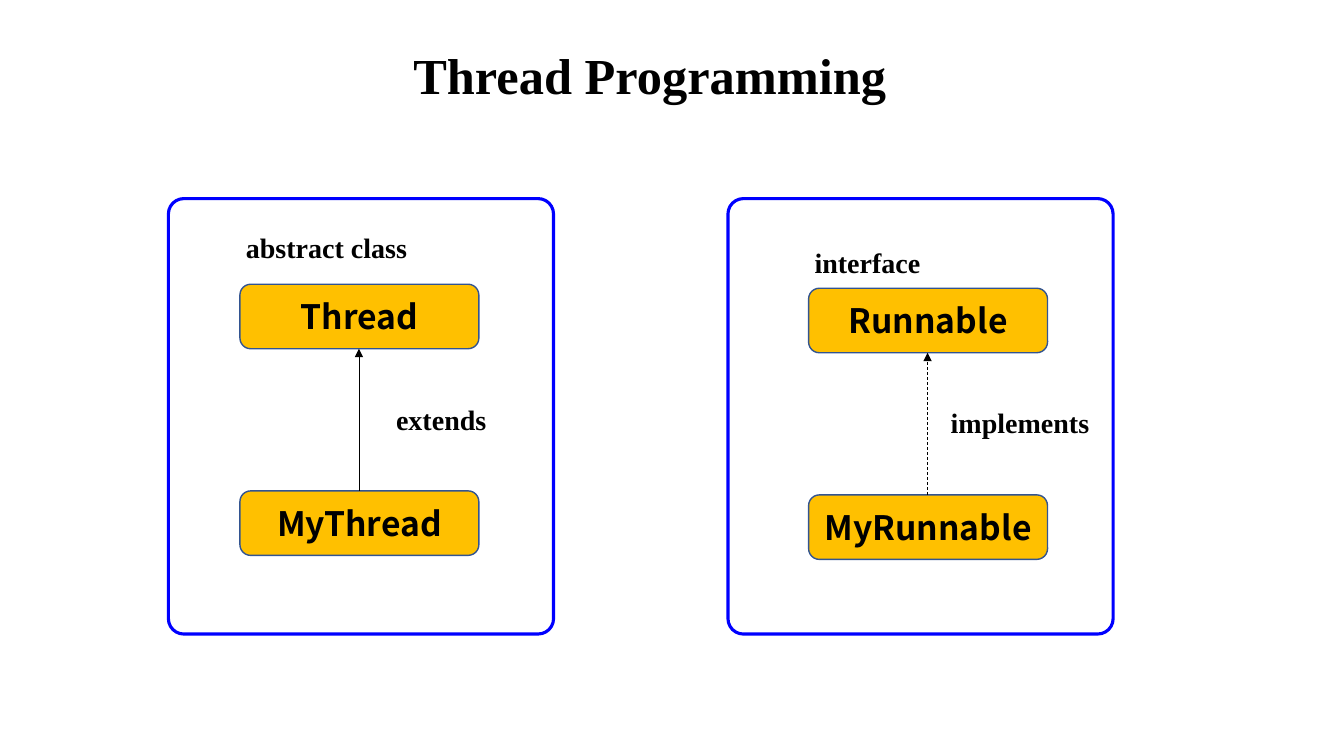
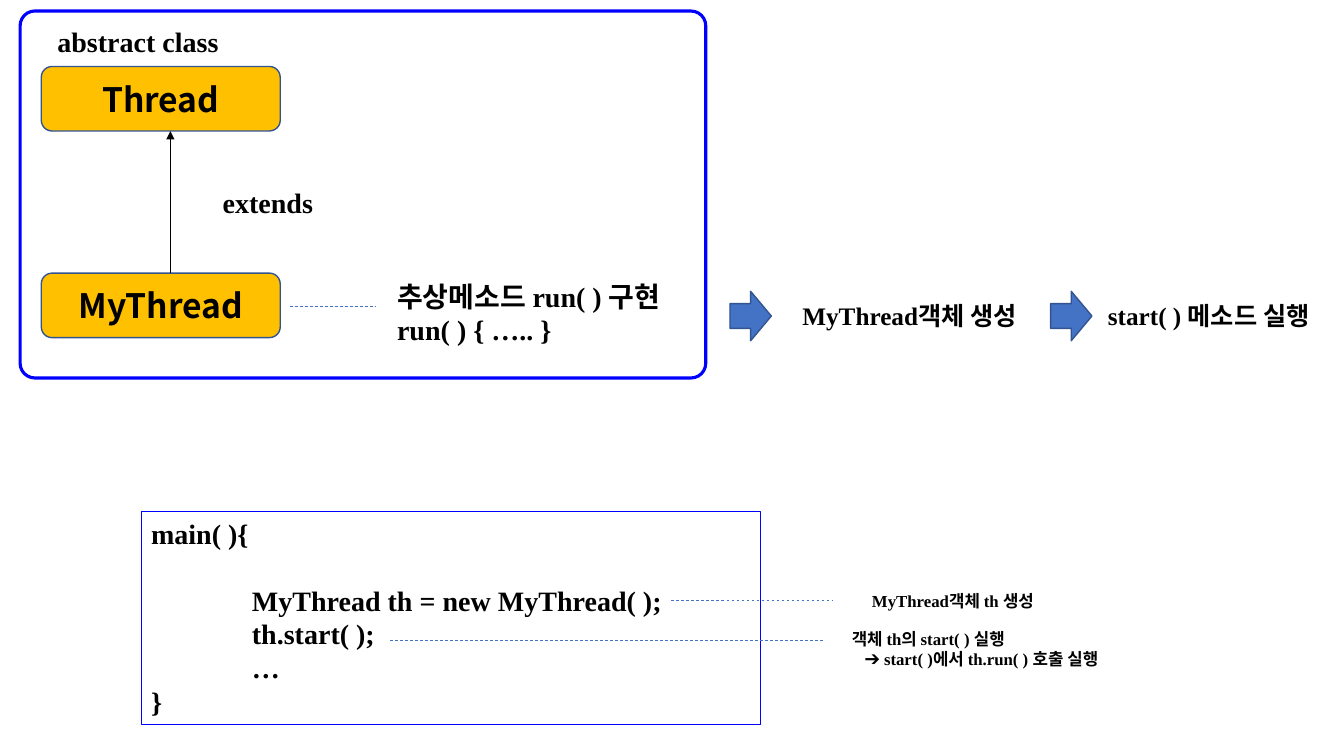
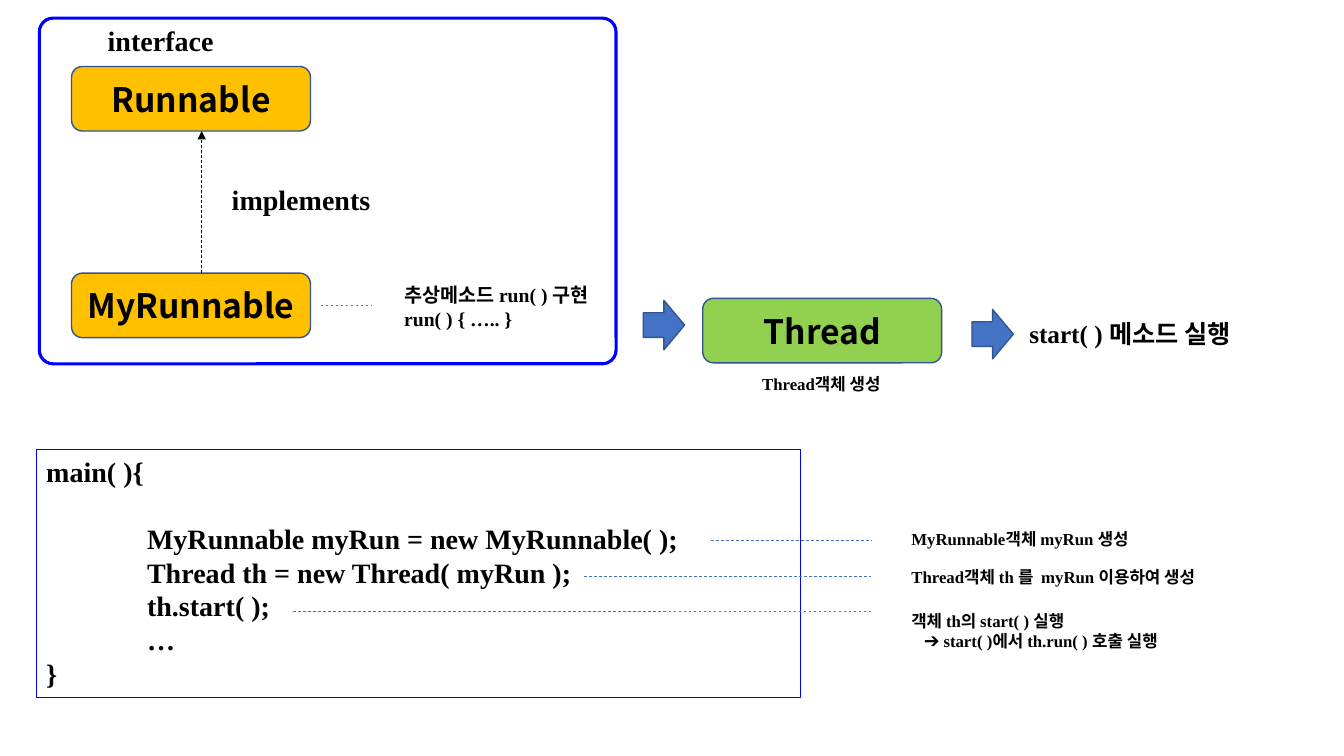
from lxml.etree import SubElement
from pptx import Presentation
from pptx.dml.color import RGBColor
from pptx.enum.dml import MSO_LINE
from pptx.enum.shapes import MSO_CONNECTOR, MSO_SHAPE
from pptx.enum.text import MSO_ANCHOR as Anchor, MSO_AUTO_SIZE as AutoSize, PP_ALIGN as Align
from pptx.oxml.ns import qn
from pptx.util import Inches, Pt

BLACK, BLUE, ACCENT, EDGE = "000000", "0000FF", "4472C4", "325491"
AMBER, GREEN = "FFC000", "92D050"
SERIF, SANS = "Times New Roman", "Noto Sans CJK KR"
TITLE_ONLY, BLANK = 5, 6
NODE_WIDTH, NODE_HEIGHT, NODE_STEP = 2.37, 0.64, 2.05
CODE_INDENT, NOTE_INDENT = 1, 0.13


def color(value):
    return RGBColor.from_string(value)


class Drawing:
    """Holds the deck, its style and the slide being drawn."""

    def __init__(self):
        self.deck = Presentation()
        self.deck.slide_width, self.deck.slide_height = Inches(13.33), Inches(7.5)
        self.slide = None

    def new_slide(self, layout=BLANK):
        self.slide = self.deck.slides.add_slide(self.deck.slide_layouts[layout])

    def set_text(self, shape, lines, size, font=SERIF, align=Align.LEFT,
                 anchor=Anchor.TOP, wrap=True, indents=(), gaps=()):
        """Fill a shape; indents (inches) and gaps (points before) go by line number."""
        frame = shape.text_frame
        frame_format = {"word_wrap": wrap, "auto_size": AutoSize.NONE, "vertical_anchor": anchor}
        for name, value in frame_format.items():
            setattr(frame, name, value)
        span_format = {"name": font, "size": Pt(size), "bold": True}
        for number, line in enumerate(lines):
            para = frame.add_paragraph() if number else frame.paragraphs[0]
            para.alignment = align
            if number in indents:
                para._p.get_or_add_pPr().set("marL", str(Inches(indents[number])))
            if number in gaps:
                para.space_before = Pt(gaps[number])
            span = para.add_run()
            span.text = line
            for name, value in span_format.items():
                setattr(span.font, name, value)
            span.font.color.rgb = color(BLACK)
            SubElement(span._r.get_or_add_rPr(), qn("a:ea"), typeface=SANS)

    def title(self, text, *place):
        box = self.slide.shapes.title
        for name, value in zip(("left", "top", "width", "height"), place):
            setattr(box, name, Inches(value))
        self.set_text(box, [text], 36)

    def label(self, lines, left, top, width, height, size=20, **layout):
        box = self.slide.shapes.add_textbox(*map(Inches, (left, top, width, height)))
        self.set_text(box, lines, size, **layout)

    def shape(self, preset, place, fill=None, edge=EDGE, weight=1):
        shape = self.slide.shapes.add_shape(preset, *map(Inches, place))
        shape.shadow.inherit = False
        if fill:
            shape.fill.solid()
            shape.fill.fore_color.rgb = color(fill)
        else:
            shape.fill.background()
        shape.line.color.rgb = color(edge)
        shape.line.width = Pt(weight)
        return shape

    def panel(self, *place):
        frame = self.shape(MSO_SHAPE.ROUNDED_RECTANGLE, place, edge=BLUE, weight=2.25)
        frame.adjustments[0] = 0.04

    def node(self, text, left, top, fill=AMBER):
        place = left, top, NODE_WIDTH, NODE_HEIGHT
        box = self.shape(MSO_SHAPE.ROUNDED_RECTANGLE, place, fill)
        self.set_text(box, [text], 24, SANS, Align.CENTER, Anchor.MIDDLE)

    def next_step(self, left, top):
        self.shape(MSO_SHAPE.RIGHT_ARROW, (left, top, 0.41, 0.49), ACCENT)

    def line(self, start, end, line_color=ACCENT, dashed=True, arrow=False):
        line = self.slide.shapes.add_connector(
            MSO_CONNECTOR.STRAIGHT, *map(Inches, (*start, *end)))
        line.line.color.rgb = color(line_color)
        line.line.width = Pt(0.5)
        if dashed:
            line.line.dash_style = MSO_LINE.DASH
        if arrow:
            SubElement(line.line._get_or_add_ln(), qn("a:tailEnd"), type="triangle")
        SubElement(line._element.spPr, qn("a:effectLst"))

    def leader(self, left, right, y):
        self.line((left, y), (right, y))

    def hierarchy(self, name, left, top, arrow_x, kind_at, relation_at):
        """Parent type above the class that extends or implements it."""
        is_class = name == "Thread"
        child_top = top + NODE_STEP
        self.node(name, left, top)
        self.node("My" + name, left, child_top)
        self.line((arrow_x, child_top), (arrow_x, top + NODE_HEIGHT),
                  BLACK, dashed=not is_class, arrow=True)
        self.label(["abstract class" if is_class else "interface"], *kind_at, 2.45, 0.44)
        self.label(["extends" if is_class else "implements"], *relation_at,
                   1.1 if is_class else 1.59, 0.44, wrap=is_class)

    def main_code(self, statements, *place):
        box = self.shape(MSO_SHAPE.RECTANGLE, place, edge=BLUE, weight=0.75)
        body = [*statements, "…"]
        indents = dict.fromkeys(range(1, len(body) + 1), CODE_INDENT)
        self.set_text(box, ["main( ){", *body, "}"], 20, indents=indents, gaps={1: 24})

    def run_method(self, left, top, width, height, size):
        self.label(["추상메소드 run( ) 구현", "run( ) { ….. }"], left, top, width, height, size)

    def start_step(self, left, top):
        self.next_step(left, top)
        self.label(["start( ) 메소드 실행"], left + 0.47, top + 0.04, 2.82, 0.4, 18)

    def start_note(self, left, top):
        self.label(["객체 th의 start( ) 실행", "➔ start( )에서 th.run( ) 호출 실행"],
                   left, top, 3.03, 0.5, 12, indents={1: NOTE_INDENT})


def overview(drawing):
    drawing.new_slide(TITLE_ONLY)
    drawing.title("Thread Programming", 4, 0.39, 6.15, 0.71)
    for left in (1.67, 7.22):
        drawing.panel(left, 1.97, 3.82, 4.32)
    drawing.hierarchy("Thread", 2.38, 2.82, 3.56, (2.34, 2.24), (3.83, 3.94))
    drawing.hierarchy("Runnable", 8.02, 2.86, 9.2, (7.98, 2.39), (9.33, 3.97))


def thread_usage(drawing):
    drawing.new_slide()
    drawing.panel(0.2, 0.11, 6.8, 3.64)
    drawing.hierarchy("Thread", 0.41, 0.66, 1.69, (0.47, 0.19), (2.11, 1.79))
    drawing.leader(2.88, 3.73, 3.04)
    drawing.run_method(3.84, 2.72, 3.7, 0.77, 20)
    drawing.next_step(7.24, 2.89)
    drawing.label(["MyThread객체 생성"], 7.86, 2.93, 2.82, 0.4, 18)
    drawing.start_step(10.42, 2.89)
    drawing.main_code(["MyThread th = new MyThread( );", "th.start( );"],
                      1.4, 5.07, 6.14, 2.12)
    drawing.leader(6.66, 8.25, 5.96)
    drawing.label(["MyThread객체 th 생성"], 8.55, 5.81, 2.29, 0.3, 12)
    drawing.leader(3.87, 8.17, 6.35)
    drawing.start_note(8.35, 6.19)


def runnable_usage(drawing):
    drawing.new_slide()
    drawing.panel(0.39, 0.18, 5.72, 3.43)
    drawing.hierarchy("Runnable", 0.71, 0.66, 2, (0.97, 0.18), (2.2, 1.76))
    drawing.leader(3.18, 3.69, 3.03)
    drawing.run_method(3.91, 2.76, 3.31, 0.57, 14)
    drawing.next_step(6.38, 2.98)
    drawing.node("Thread", 6.97, 2.96, GREEN)
    drawing.label(["Thread객체 생성"], 7.46, 3.66, 1.68, 0.3, 12)
    drawing.start_step(9.64, 3.07)
    drawing.main_code(["MyRunnable myRun = new MyRunnable( );",
                       "Thread th = new Thread( myRun );", "th.start( );"],
                      0.36, 4.46, 7.58, 2.46)
    for left, y in ((7.05, 5.36), (5.79, 5.72), (2.91, 6.07)):
        drawing.leader(left, 8.64, y)
    drawing.label(["MyRunnable객체 myRun 생성"], 8.94, 5.2, 3.22, 0.3, 12)
    drawing.label(["Thread객체 th 를  myRun 이용하여 생성"], 8.94, 5.57, 3.22, 0.3, 12)
    drawing.start_note(8.94, 6.01)


def main():
    drawing = Drawing()
    for draw_slide in (overview, thread_usage, runnable_usage):
        draw_slide(drawing)
    drawing.deck.save("out.pptx")


if __name__ == "__main__":
    main()
